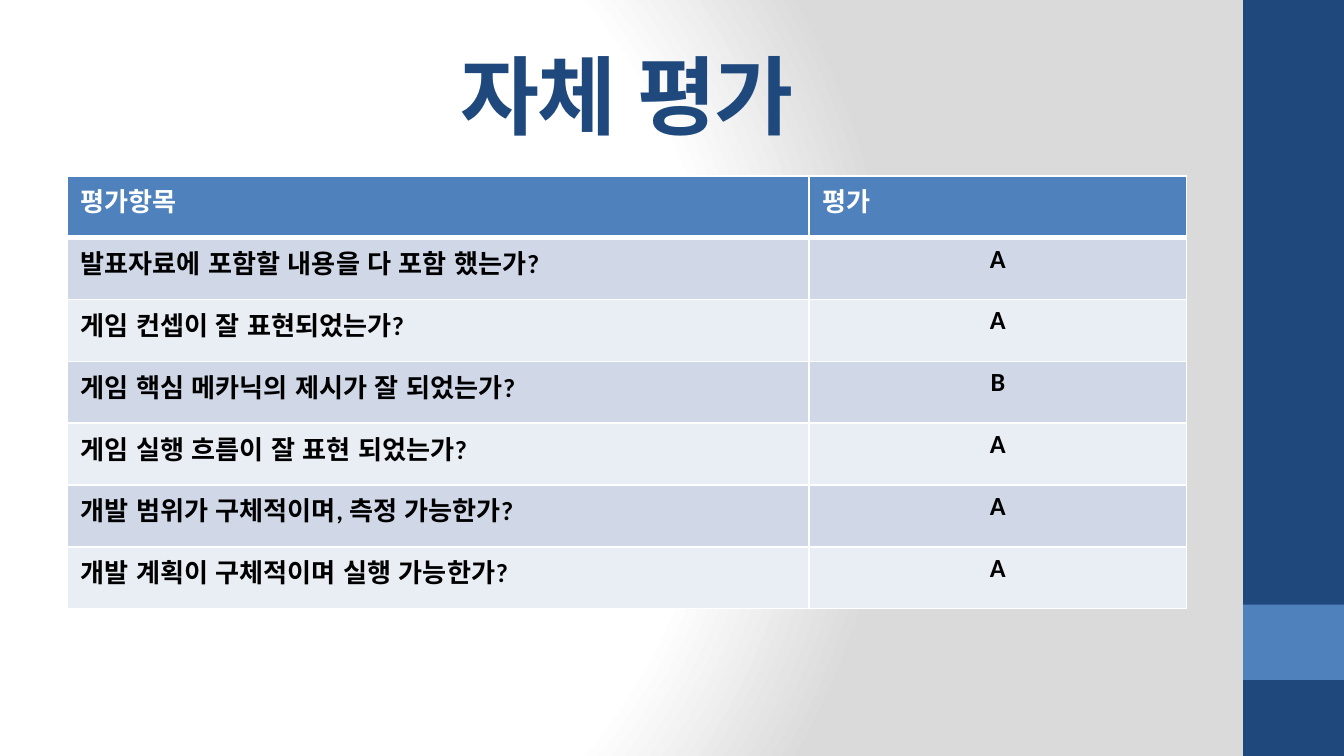
from lxml import etree
from pptx import Presentation
from pptx.dml.color import RGBColor
from pptx.enum import lang, shapes, text
from pptx.oxml import parse_xml
from pptx.oxml.ns import nsdecls, qn
from pptx.util import Inches, Pt

NAVY = RGBColor(0x1F, 0x49, 0x7D)
BLUE = RGBColor(0x4F, 0x81, 0xBD)
WHITE = RGBColor(0xFF, 0xFF, 0xFF)
BLACK = RGBColor(0, 0, 0)
SILVER = RGBColor(0xDA, 0xDA, 0xDA)
BAND_DARK = RGBColor(0xD0, 0xD8, 0xE8)
BAND_LIGHT = RGBColor(0xE9, 0xED, 0xF4)

SLIDE_WIDTH = Inches(10)
SLIDE_HEIGHT = SLIDE_WIDTH * 9 // 16

HEADINGS = ("평가항목", "평가")
EVALUATIONS = [
    ("발표자료에 포함할 내용을 다 포함 했는가?", "A"),
    ("게임 컨셉이 잘 표현되었는가?", "A"),
    ("게임 핵심 메카닉의 제시가 잘 되었는가?", "B"),
    ("게임 실행 흐름이 잘 표현 되었는가?", "A"),
    ("개발 범위가 구체적이며, 측정 가능한가?", "A"),
    ("개발 계획이 구체적이며 실행 가능한가?", "A"),
]


def set_background(slide):
    slide.background.fill.gradient()
    gradient = slide.element.find(".//" + qn("a:gradFill"))
    stops = "".join(
        f'<a:gs pos="{position * 1000}"><a:srgbClr val="{color}"/></a:gs>'
        for position, color in ((0, WHITE), (75, WHITE), (100, SILVER)))
    gradient.getparent().replace(gradient, parse_xml(
        f'<a:gradFill {nsdecls("a")} rotWithShape="1"><a:gsLst>{stops}</a:gsLst>'
        '<a:path path="circle"><a:fillToRect l="20000" t="50000" r="100000" b="50000"/>'
        '</a:path></a:gradFill>'))


def add_bar(slide, top, height, color):
    bar = slide.shapes.add_shape(shapes.MSO_SHAPE.RECTANGLE, Inches(9.25),
                                 top, Inches(0.75), height)
    bar.shadow.inherit = False
    bar.fill.solid()
    bar.fill.fore_color.rgb = color
    bar.line.fill.background()


def add_run(paragraph, words, size, font, color):
    run = paragraph.add_run()
    run.text = words
    run.font.size = Pt(size)
    run.font.name = font
    run.font.bold = True
    run.font.color.rgb = color
    run.font.language_id = lang.MSO_LANGUAGE_ID.KOREAN
    return run


def add_title(slide, words):
    title = slide.shapes.add_textbox(Inches(0.5), Inches(0.23), Inches(8.33), Inches(0.94))
    frame = title.text_frame
    frame.word_wrap = True
    frame.vertical_anchor = text.MSO_ANCHOR.MIDDLE
    paragraph = frame.paragraphs[0]
    paragraph.alignment = text.PP_ALIGN.CENTER
    run = add_run(paragraph, words, 46, "Cambria", NAVY)
    run.font._element.set("spc", "-100")


def set_borders(cell, widths):
    properties = cell._tc.get_or_add_tcPr()
    for index, (side, width) in enumerate(widths.items()):
        line = etree.Element(qn(f"a:ln{side}"), w=str(Pt(width)))
        fill = etree.SubElement(line, qn("a:solidFill"))
        etree.SubElement(fill, qn("a:srgbClr"), val=str(WHITE))
        properties.insert(index, line)


def fill_cell(cell, words, fill, color, alignment):
    cell.margin_left = cell.margin_right = Inches(0.1)
    cell.margin_top = cell.margin_bottom = Inches(0.04)
    cell.fill.solid()
    cell.fill.fore_color.rgb = fill
    paragraph = cell.text_frame.paragraphs[0]
    paragraph.alignment = alignment
    add_run(paragraph, words, 14, "Calibri", color)


def add_evaluation_table(slide):
    rows = [HEADINGS] + EVALUATIONS
    table = slide.shapes.add_table(len(rows), 2, Inches(0.5), Inches(1.31),
                                   Inches(8.33), Inches(0.46 * len(rows))).table
    for column, width in zip(table.columns, (5.52, 2.81)):
        column.width = Inches(width)
    for row_index, row in enumerate(rows):
        table.rows[row_index].height = Inches(0.46)
        header = row_index == 0
        fill = BLUE if header else BAND_DARK if row_index % 2 else BAND_LIGHT
        for column_index, words in enumerate(row):
            cell = table.cell(row_index, column_index)
            centred = column_index == 1 and not header
            alignment = text.PP_ALIGN.CENTER if centred else text.PP_ALIGN.LEFT
            fill_cell(cell, words, fill, WHITE if header else BLACK, alignment)
            # The rule under the header is heavier than the rest
            set_borders(cell, {"L": 1, "R": 1, "T": 3 if row_index == 1 else 1,
                               "B": 3 if header else 1})


def main():
    presentation = Presentation()
    presentation.slide_width = SLIDE_WIDTH
    presentation.slide_height = SLIDE_HEIGHT
    slide = presentation.slides.add_slide(presentation.slide_layouts[6])

    # Background and side bars
    set_background(slide)
    add_bar(slide, 0, SLIDE_HEIGHT, NAVY)
    add_bar(slide, Inches(4.5), Inches(0.56), BLUE)

    # Content
    add_title(slide, "자체 평가")
    add_evaluation_table(slide)
    presentation.save("out.pptx")


main()
